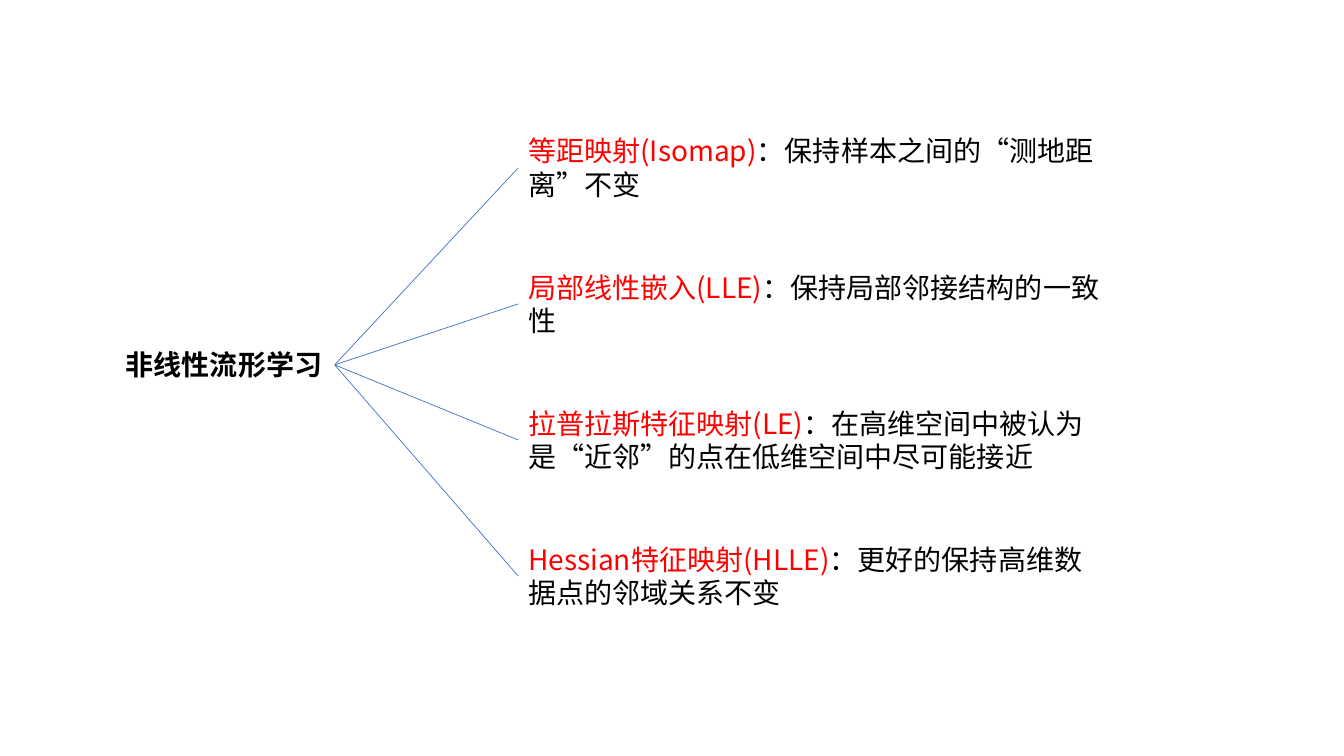
from dataclasses import dataclass

from lxml.etree import SubElement
from pptx import Presentation
from pptx.dml.color import RGBColor
from pptx.enum.lang import MSO_LANGUAGE_ID
from pptx.enum.shapes import MSO_CONNECTOR
from pptx.enum.text import MSO_AUTO_SIZE
from pptx.oxml.ns import qn
from pptx.shapes.autoshape import Shape
from pptx.slide import Slide
from pptx.text.text import _Paragraph as Paragraph
from pptx.util import Inches, Pt

FONT = "Noto Sans CJK SC"
BLACK, RED, BLUE = "000000", "FF0000", "4472C4"
RIGHT_SIDE, LEFT_SIDE = 3, 1
METHOD_LEFT, METHOD_TOP, METHOD_PITCH = 5.14, 1.28, 1.35
METHOD_WIDTH, METHOD_HEIGHT = 5.96, 0.77


@dataclass
class Method:
    name: str
    goal: str


METHODS = [
    Method("等距映射(Isomap)", "保持样本之间的“测地距离”不变"),
    Method("局部线性嵌入(LLE)", "保持局部邻接结构的一致性"),
    Method("拉普拉斯特征映射(LE)", "在高维空间中被认为是“近邻”的点在低维空间中尽可能接近"),
    Method("Hessian特征映射(HLLE)", "更好的保持高维数据点的邻域关系不变"),
]


def color(value: str) -> RGBColor:
    return RGBColor.from_string(value)


def add_text(paragraph: Paragraph, text: str, *, fill: str = BLACK,
             size: float = 20, bold: bool = False) -> None:
    run = paragraph.add_run()
    run.text = text
    font = run.font
    font.size, font.bold, font.name = Pt(size), bold, FONT
    font.language_id = MSO_LANGUAGE_ID.SIMPLIFIED_CHINESE
    font.color.rgb = color(fill)
    # East Asian typeface for the Chinese characters
    SubElement(run._r.get_or_add_rPr(), qn("a:ea"), typeface=FONT)


def add_box(slide: Slide, left: float, top: float, width: float,
            height: float, *, wrap: bool = True) -> Shape:
    box = slide.shapes.add_textbox(Inches(left), Inches(top), Inches(width), Inches(height))
    box.text_frame.word_wrap = wrap
    box.text_frame.auto_size = MSO_AUTO_SIZE.SHAPE_TO_FIT_TEXT
    return box


def add_branch(slide: Slide, root: Shape, leaf: Shape) -> None:
    branch = slide.shapes.add_connector(MSO_CONNECTOR.STRAIGHT, 0, 0, 0, 0)
    branch.begin_connect(root, RIGHT_SIDE)
    branch.end_connect(leaf, LEFT_SIDE)
    branch.line.color.rgb = color(BLUE)
    branch.line.width = Pt(0.5)
    SubElement(branch._element.spPr, qn("a:effectLst"))


def main() -> None:
    presentation = Presentation()
    presentation.slide_width, presentation.slide_height = Inches(13.33), Inches(7.5)
    slide = presentation.slides.add_slide(presentation.slide_layouts[6])

    # Root topic
    root = add_box(slide, 1.15, 3.4, 2.17, 0.44, wrap=False)
    add_text(root.text_frame.paragraphs[0], "非线性流形学习", bold=True)

    # Methods, each joined to the root
    for row, method in enumerate(METHODS):
        leaf = add_box(slide, METHOD_LEFT, METHOD_TOP + row * METHOD_PITCH,
                       METHOD_WIDTH, METHOD_HEIGHT)
        paragraph = leaf.text_frame.paragraphs[0]
        add_text(paragraph, method.name, fill=RED)
        add_text(paragraph, f"：{method.goal}")
        add_branch(slide, root, leaf)

    presentation.save("out.pptx")


if __name__ == "__main__":
    main()
